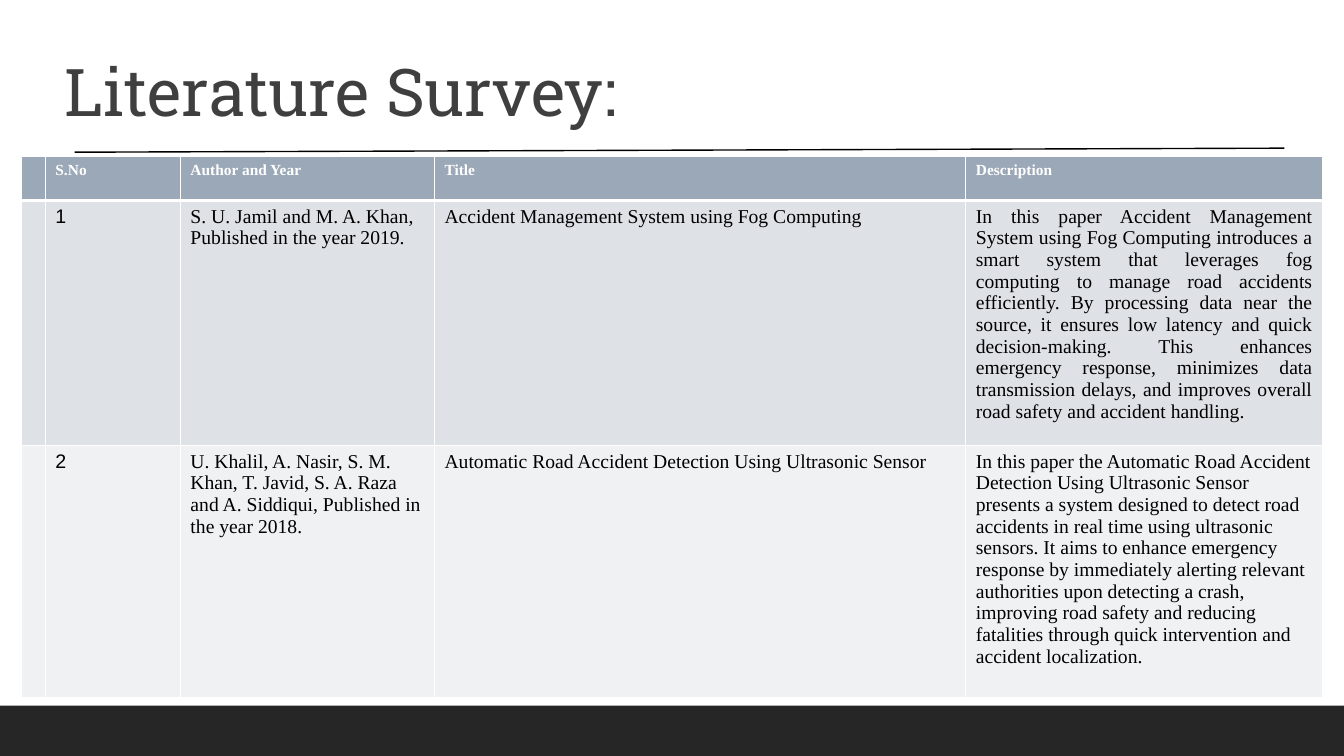
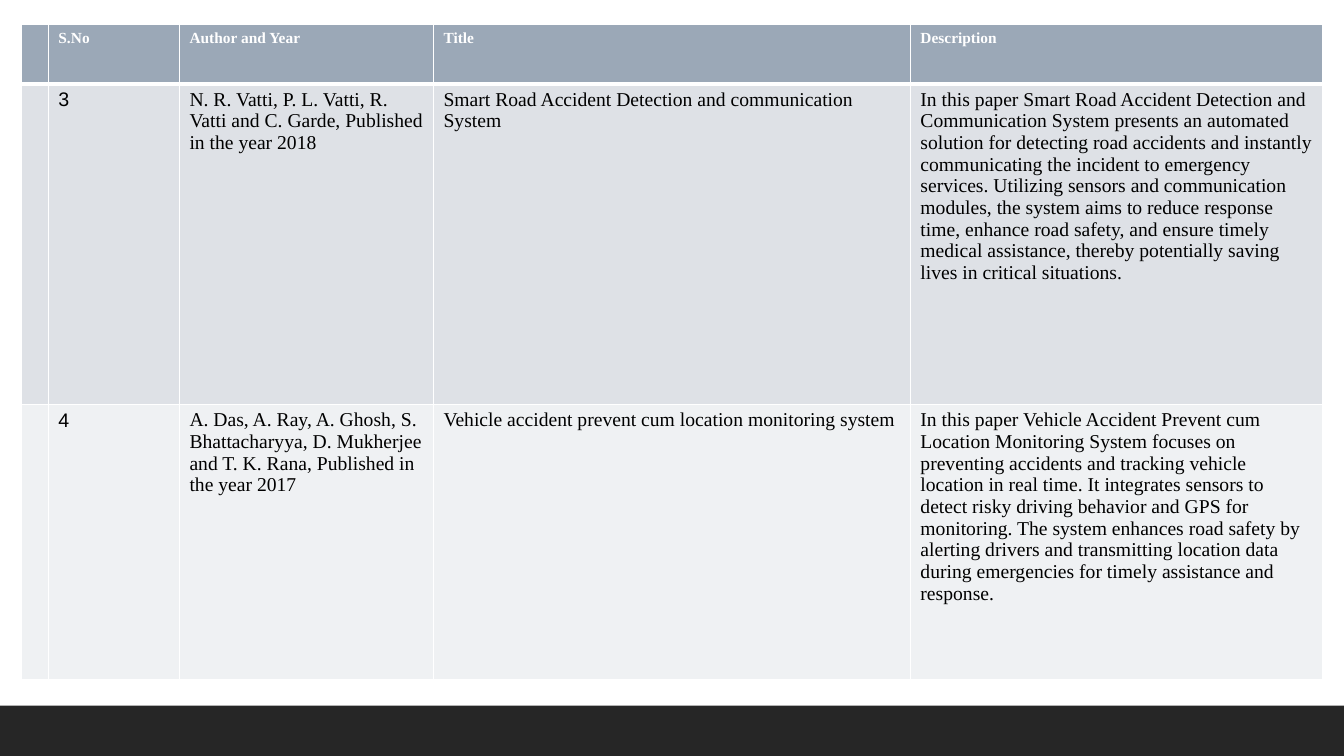
"""Build the two literature survey slides."""
from dataclasses import dataclass

from lxml import etree
from pptx import Presentation
from pptx.dml.color import RGBColor
from pptx.enum.shapes import MSO_CONNECTOR, MSO_SHAPE
from pptx.enum.text import MSO_ANCHOR, MSO_AUTO_SIZE, PP_ALIGN
from pptx.oxml.ns import qn
from pptx.util import Inches, Pt

LEFT, JUSTIFY = PP_ALIGN.LEFT, PP_ALIGN.JUSTIFY
BOTTOM = MSO_ANCHOR.BOTTOM
NO_AUTOFIT = MSO_AUTO_SIZE.NONE
RECTANGLE = MSO_SHAPE.RECTANGLE
STRAIGHT = MSO_CONNECTOR.STRAIGHT
TITLE_ONLY, BLANK = 5, 6
SLIDE_WIDTH, SLIDE_HEIGHT = 13.33, 7.5


@dataclass(frozen=True)
class Theme:
    """Colours, fonts and type sizes shared by the slides."""

    title: str = "3F3F3F"
    band: str = "262626"
    text: str = "000000"
    white: str = "FFFFFF"
    header: str = "9BA8B7"
    rows: tuple = ("DEE1E6", "EFF1F3")
    title_font: str = "Roboto Slab"
    body_font: str = "Times New Roman"
    number_font: str = "Arial"
    title_size: float = 47
    header_size: float = 11
    body_size: float = 14


THEME = Theme()
HEADINGS = ("", "S.No", "Author and Year", "Title", "Description")
FIRST_PAPERS = (
    ("", "1", "S. U. Jamil and M. A. Khan, Published in the year 2019.",
     "Accident Management System using Fog Computing",
     "In this paper Accident Management System using Fog Computing introduces a smart "
     "system that leverages fog computing to manage road accidents efficiently. By "
     "processing data near the source, it ensures low latency and quick decision-making. "
     "This enhances emergency response, minimizes data transmission delays, and improves "
     "overall road safety and accident handling."),
    ("", "2", "U. Khalil, A. Nasir, S. M. Khan, T. Javid, S. A. Raza and A. Siddiqui, "
     "Published in the year 2018.",
     "Automatic Road Accident Detection Using Ultrasonic Sensor",
     "In this paper the Automatic Road Accident Detection Using Ultrasonic Sensor presents "
     "a system designed to detect road accidents in real time using ultrasonic sensors. It "
     "aims to enhance emergency response by immediately alerting relevant authorities upon "
     "detecting a crash, improving road safety and reducing fatalities through quick "
     "intervention and accident localization."),
)
SECOND_PAPERS = (
    ("", "3", "N. R. Vatti, P. L. Vatti, R. Vatti and C. Garde, Published in the year 2018",
     "Smart Road Accident Detection and communication System",
     "In this paper Smart Road Accident Detection and Communication System presents an "
     "automated solution for detecting road accidents and instantly communicating the "
     "incident to emergency services. Utilizing sensors and communication modules, the "
     "system aims to reduce response time, enhance road safety, and ensure timely medical "
     "assistance, thereby potentially saving lives in critical situations."),
    ("", "4", "A. Das, A. Ray, A. Ghosh, S. Bhattacharyya, D. Mukherjee and T. K. Rana, "
     "Published in the year 2017",
     "Vehicle accident prevent cum location monitoring system",
     "In this paper Vehicle Accident Prevent cum Location Monitoring System focuses on "
     "preventing accidents and tracking vehicle location in real time. It integrates "
     "sensors to detect risky driving behavior and GPS for monitoring. The system enhances "
     "road safety by alerting drivers and transmitting location data during emergencies "
     "for timely assistance and response."),
)


def rgb(colour):
    """Turn a hex string into a colour."""
    return RGBColor.from_string(colour)


def style_paragraph(paragraph, font, size, colour, bold=False, align=LEFT):
    """Format a paragraph and its runs."""
    paragraph.alignment = align
    for run in paragraph.runs:
        run.font.name = font
        run.font.size = Pt(size)
        run.font.bold = bold
        run.font.color.rgb = rgb(colour)


def add_slide(deck, layout):
    """Add a slide with the dark band along its foot."""
    slide = deck.slides.add_slide(deck.slide_layouts[layout])
    band = slide.shapes.add_shape(
        RECTANGLE, 0, Inches(7), Inches(SLIDE_WIDTH), Inches(0.5))
    band.shadow.inherit = False
    band.fill.solid()
    band.fill.fore_color.rgb = rgb(THEME.band)
    band.line.fill.background()
    return slide


def set_title(slide, text):
    """Place and format the slide title."""
    title = slide.shapes.title
    title.left, title.top = Inches(0.54), Inches(0.35)
    title.width, title.height = Inches(12.38), Inches(1)
    frame = title.text_frame
    frame.text = text
    frame.word_wrap = True
    frame.auto_size = NO_AUTOFIT
    frame.vertical_anchor = BOTTOM
    heading = frame.paragraphs[0]
    heading.line_spacing = 0.9
    style_paragraph(heading, THEME.title_font, THEME.title_size, THEME.title)


def add_rule(slide, start, end):
    """Draw a thin line between two points."""
    rule = slide.shapes.add_connector(
        STRAIGHT, *(Inches(value) for value in (*start, *end)))
    rule.line.color.rgb = rgb(THEME.text)
    rule.line.width = Pt(1)
    etree.SubElement(rule.element.spPr, qn("a:effectLst"))


def set_borders(cell, top, bottom):
    """Give a cell white borders, with top and bottom widths in points."""
    properties = cell._tc.get_or_add_tcPr()
    widths = {"a:lnL": 1, "a:lnR": 1, "a:lnT": top, "a:lnB": bottom}
    for position, (side, width) in enumerate(widths.items()):
        border = etree.Element(qn(side), w=str(Pt(width)))
        fill = etree.SubElement(border, qn("a:solidFill"))
        etree.SubElement(fill, qn("a:srgbClr"), val=THEME.white)
        properties.insert(position, border)


def fill_cell(cell, text, row, column, align):
    """Write a table cell and format it by its row and column."""
    is_header = row == 0
    cell.fill.solid()
    cell.fill.fore_color.rgb = rgb(
        THEME.header if is_header else THEME.rows[(row - 1) % 2])
    set_borders(cell, top=3 if row == 1 else 1, bottom=3 if is_header else 1)
    if not text:
        return
    cell.text_frame.text = text
    paragraph = cell.text_frame.paragraphs[0]
    if is_header:
        style_paragraph(paragraph, THEME.body_font, THEME.header_size, THEME.white, True)
    else:
        font = THEME.number_font if column == 1 else THEME.body_font
        style_paragraph(paragraph, font, THEME.body_size, THEME.text, align=align)


def add_survey(slide, top, widths, heights, papers, justified=()):
    """Add the table of papers, justifying the descriptions of the given rows."""
    records = (HEADINGS, *papers)
    survey = slide.shapes.add_table(
        len(records), len(HEADINGS), Inches(0.21), Inches(top),
        Inches(sum(widths)), Inches(sum(heights))).table
    for column, width in zip(survey.columns, widths):
        column.width = Inches(width)
    for line, height in zip(survey.rows, heights):
        line.height = Inches(height)
    for row, record in enumerate(records):
        for column, text in enumerate(record):
            is_justified = row in justified and column == len(HEADINGS) - 1
            fill_cell(survey.cell(row, column), text, row, column,
                      JUSTIFY if is_justified else LEFT)


def main():
    """Build and save the deck."""
    deck = Presentation()
    deck.slide_width, deck.slide_height = Inches(SLIDE_WIDTH), Inches(SLIDE_HEIGHT)

    opening = add_slide(deck, TITLE_ONLY)
    set_title(opening, "Literature Survey:")
    add_rule(opening, (0.74, 1.51), (12.74, 1.47))
    add_survey(opening, 1.55, (0.24, 1.34, 2.52, 5.27, 3.54), (0.44, 2.43, 2.5),
               FIRST_PAPERS, justified=(1,))

    continuation = add_slide(deck, BLANK)
    add_survey(continuation, 0.24, (0.27, 1.3, 2.52, 4.73, 4.09), (0.59, 3.18, 2.73),
               SECOND_PAPERS)

    deck.save("out.pptx")


if __name__ == "__main__":
    main()
